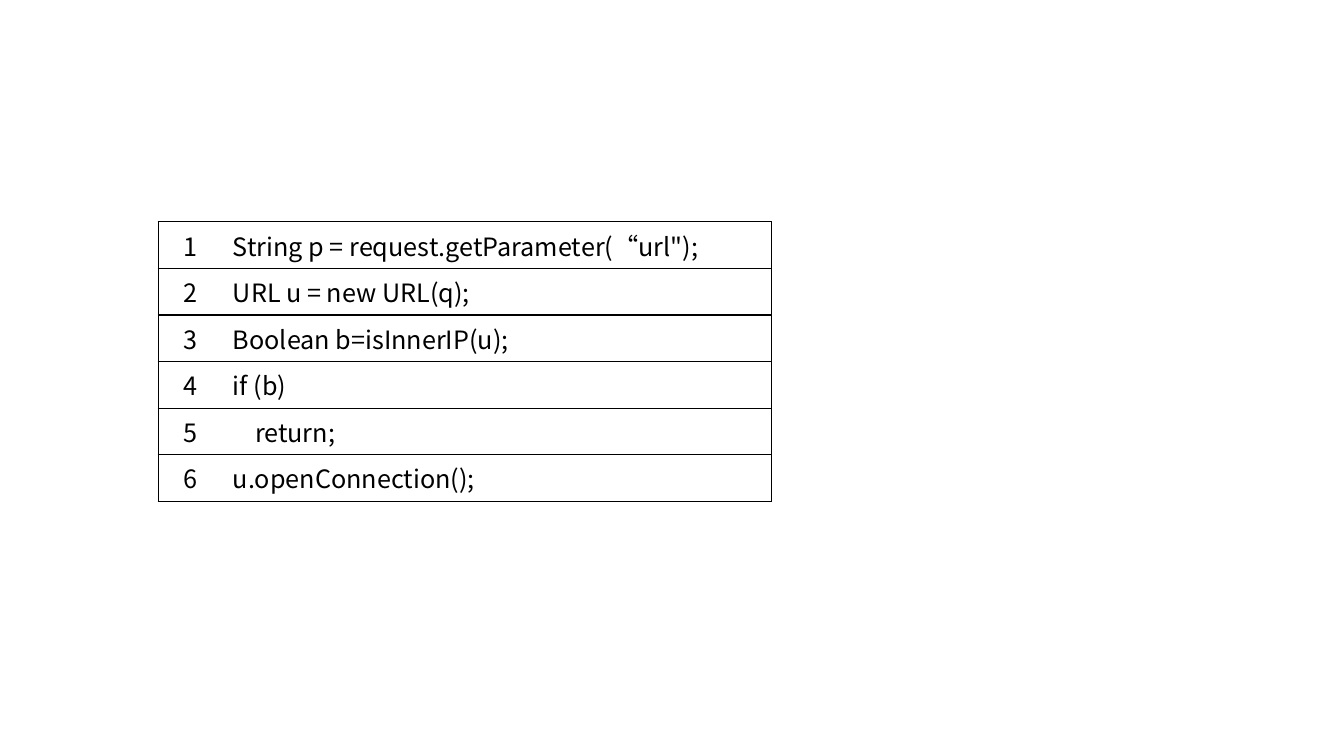
from lxml.etree import SubElement
from pptx import Presentation
from pptx.dml.color import RGBColor
from pptx.enum.text import MSO_ANCHOR as Anchor, PP_ALIGN as Align
from pptx.oxml.ns import qn
from pptx.util import Inches, Pt

COLORS = {"ink": "000000"}
FONT = "Noto Sans CJK SC"
# Each code line with its indent level
CODE_LINES = [
    ("String p = request.getParameter(“url\");", 0),
    ("URL u = new URL(q);", 0),
    ("Boolean b=isInnerIP(u);", 0),
    ("if (b)", 0),
    ("return;", 1),
    ("u.openConnection();", 0),
]


class CodePage:
    """Holds the style and the current slide."""
    text_size = Pt(18)
    border_width = Pt(1)
    cell_margin = Inches(0.1)
    indent_step = Inches(0.22)
    row_height = Inches(0.41)

    def __init__(self, deck):
        self.width, self.height = deck.slide_width, deck.slide_height
        self.page = deck.slides.add_slide(deck.slide_layouts[6])

    def border(self, cell, sides):
        properties = cell._tc.get_or_add_tcPr()
        for side in "LRTB":
            line = SubElement(properties, qn(f"a:ln{side}"),
                              w=str(self.border_width))
            if side in sides:
                fill = SubElement(line, qn("a:solidFill"))
                SubElement(fill, qn("a:srgbClr"), val=COLORS["ink"])
            else:
                SubElement(line, qn("a:noFill"))

    def cell(self, cell, text, align, sides, indent=0):
        cell.text = text
        cell.vertical_anchor = Anchor.TOP
        cell.margin_left = self.cell_margin + indent * self.indent_step
        para = cell.text_frame.paragraphs[0]
        para.alignment = align
        span = para.runs[0]
        span.font.name = FONT
        span.font.size = self.text_size
        span.font.color.rgb = RGBColor.from_string(COLORS["ink"])
        span_properties = span._r.get_or_add_rPr()
        span_properties.set("lang", "zh-CN")
        SubElement(span_properties, qn("a:ea"), typeface=FONT)
        self.border(cell, sides)
        cell.fill.background()

    def listing(self, left, top, column_shares, lines):
        widths = [int(share * self.width) for share in column_shares]
        frame = self.page.shapes.add_table(
            len(lines), len(widths), int(left * self.width),
            int(top * self.height), sum(widths), self.row_height * len(lines))
        table = frame.table
        table.first_row = table.horz_banding = False
        for column, width in zip(table.columns, widths):
            column.width = width
        for index, (text, indent) in enumerate(lines):
            self.cell(table.cell(index, 0), str(index + 1), Align.CENTER, "LTB")
            self.cell(table.cell(index, 1), text, Align.LEFT, "RTB", indent)


def main():
    deck = Presentation()
    deck.slide_width, deck.slide_height = Inches(13.33), Inches(7.5)
    # Numbered code listing: number column, code column
    CodePage(deck).listing(1.57 / 13.33, 2.2 / 7.5,
                           (0.64 / 13.33, 5.44 / 13.33), CODE_LINES)
    deck.save("out.pptx")


if __name__ == "__main__":
    main()
